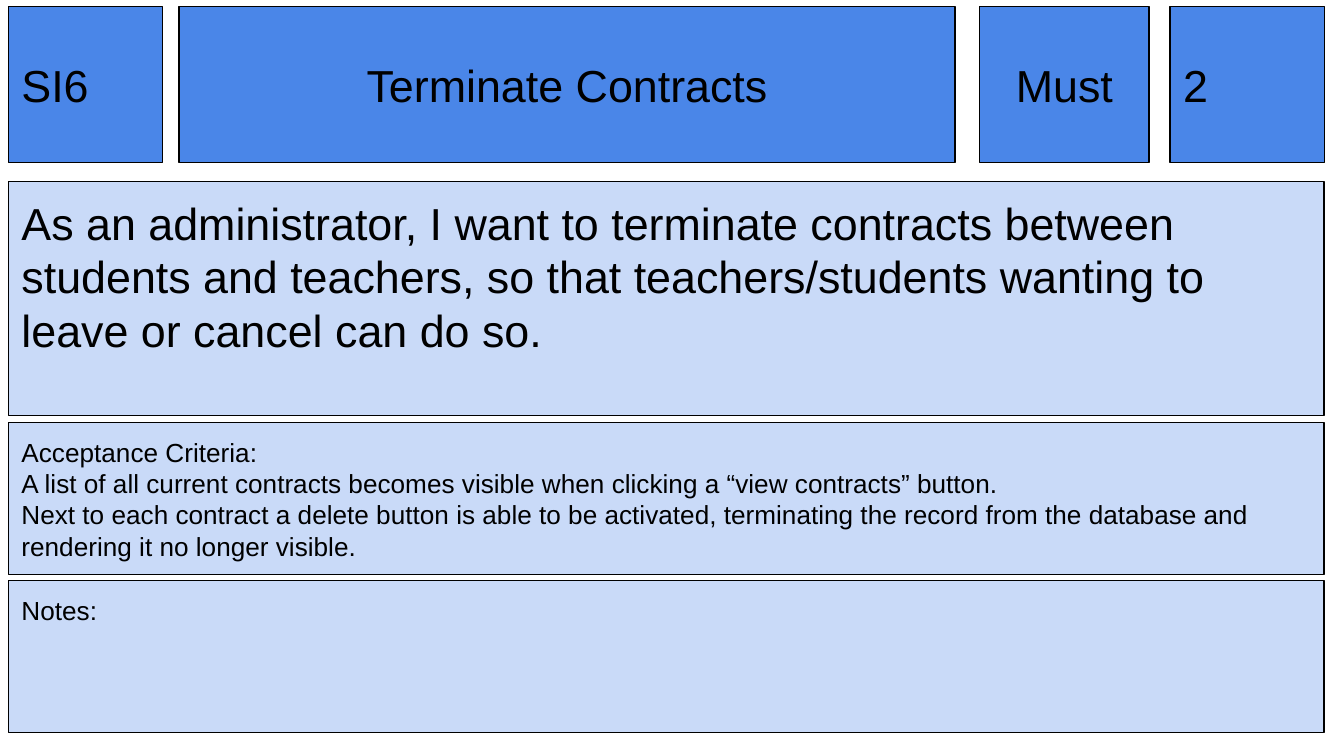
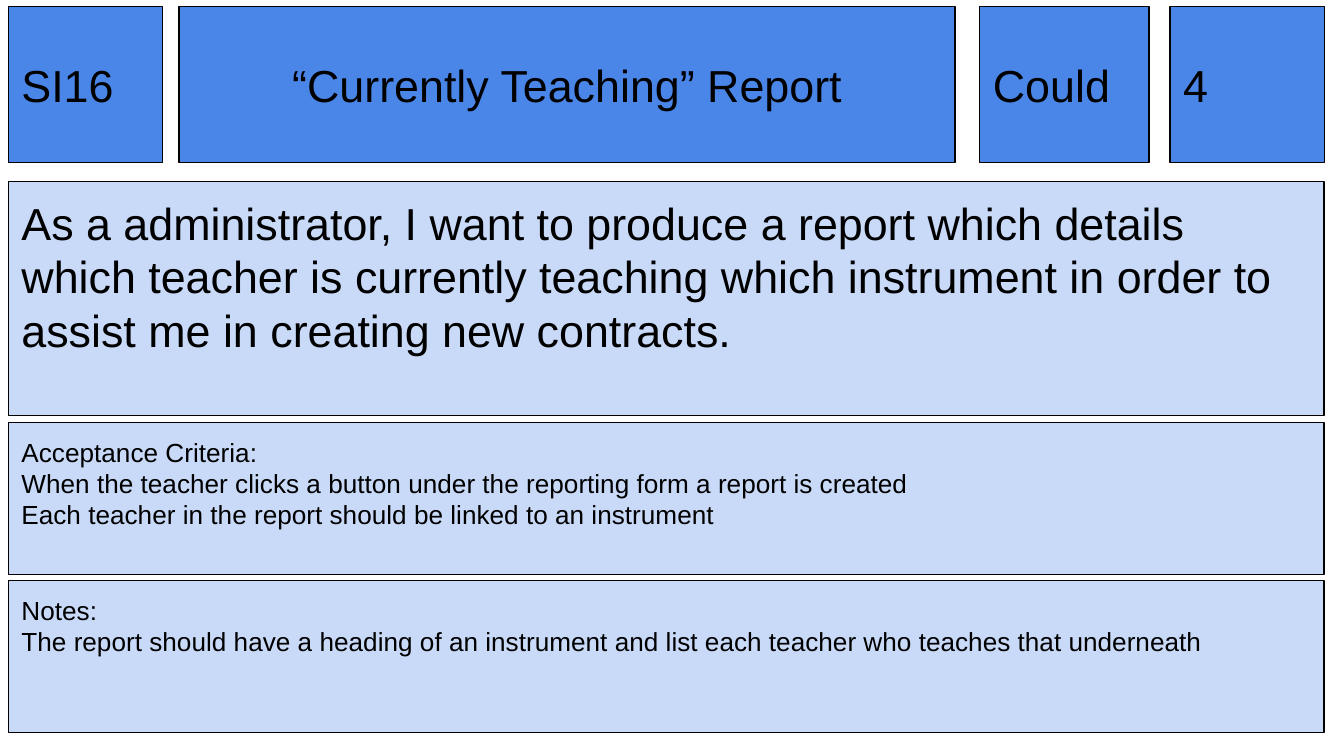
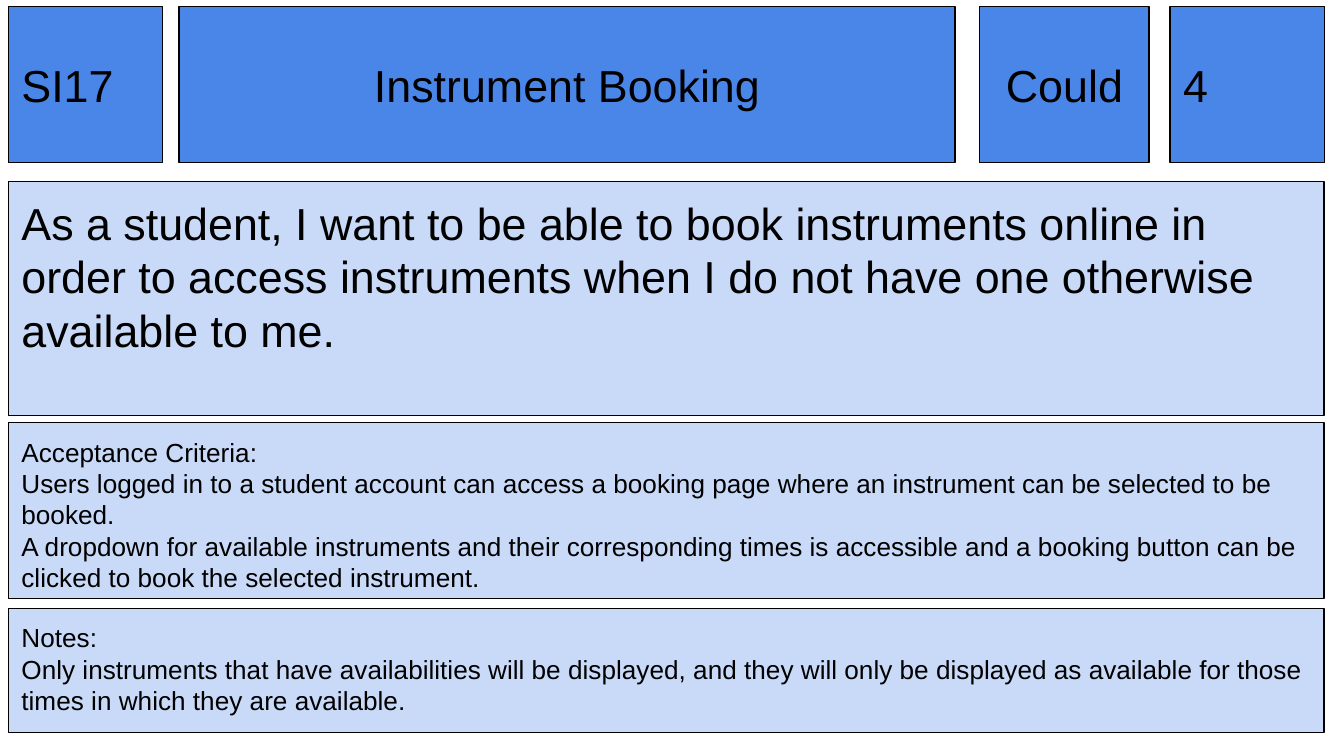
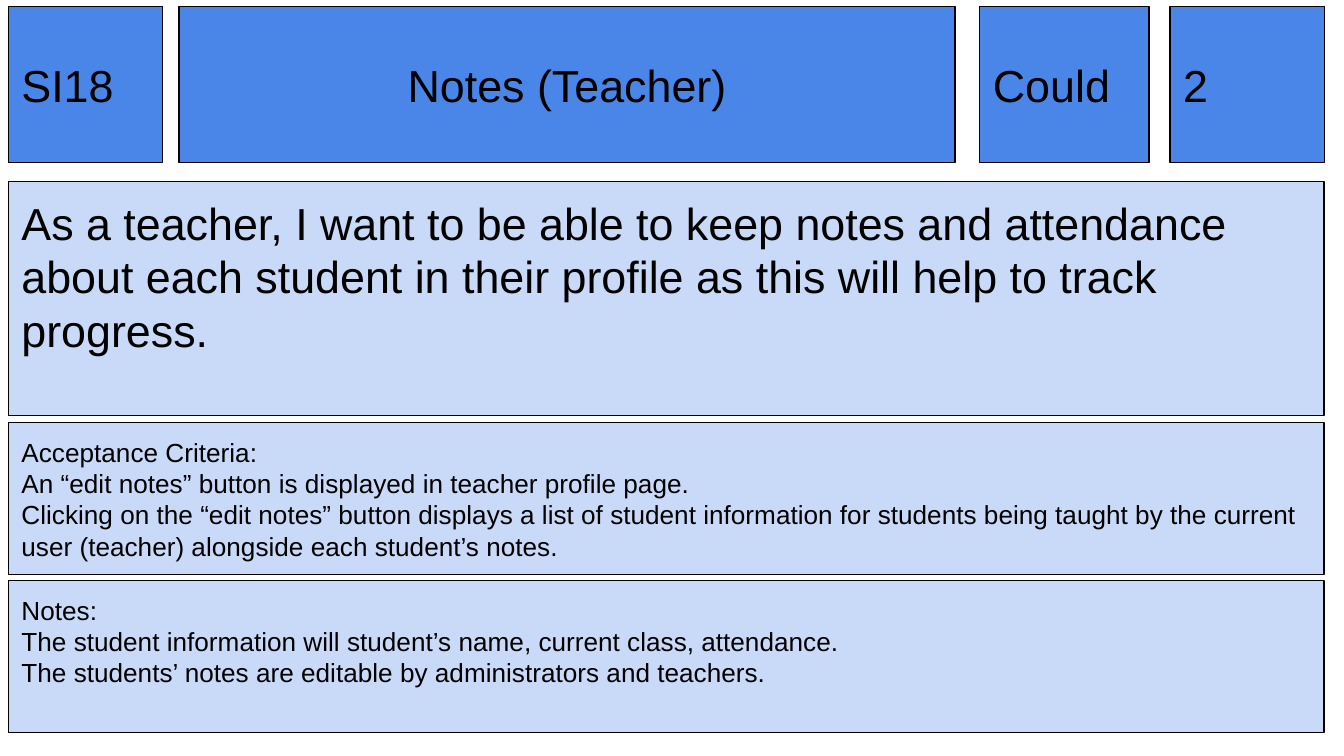
from pptx import Presentation
from pptx.dml.color import RGBColor
from pptx.enum.shapes import MSO_SHAPE
from pptx.enum.text import MSO_ANCHOR, PP_ALIGN
from pptx.util import Pt

HUES = {"head": "4A86E8", "body": "C9DAF8", "ink": "000000"}
LEFT, TOP, WIDTH, BASE = 4.4, 3.6, 704.9, 392.4
GAP = 3.2

CARDS = [
    {
        "code": "SI6", "title": "Terminate Contracts",
        "rank": "Must", "mid": True, "size": "2",
        "story": "As an administrator, I want to terminate contracts between students and teachers, "
                 "so that teachers/students wanting to leave or cancel can do so.",
        "tests": [
            "A list of all current contracts becomes visible when clicking a “view contracts” button.",
            "Next to each contract a delete button is able to be activated, terminating the record "
            "from the database and rendering it no longer visible.",
        ],
        "notes": [],
    },
    {
        "code": "SI16", "title": "“Currently Teaching” Report",
        "rank": "Could", "mid": False, "size": "4",
        "story": "As a administrator, I want to produce a report which details which teacher is "
                 "currently teaching which instrument in order to assist me in creating new contracts.",
        "tests": [
            "When the teacher clicks a button under the reporting form a report is created",
            "Each teacher in the report should be linked to an instrument",
        ],
        "notes": [
            "The report should have a heading of an instrument and list each teacher who teaches "
            "that underneath",
        ],
    },
    {
        "code": "SI17", "title": "Instrument Booking",
        "rank": "Could", "mid": True, "size": "4",
        "story": "As a student, I want to be able to book instruments online in order to access "
                 "instruments when I do not have one otherwise available to me.",
        "tests": [
            "Users logged in to a student account can access a booking page where an instrument "
            "can be selected to be booked.",
            "A dropdown for available instruments and their corresponding times is accessible and "
            "a booking button can be clicked to book the selected instrument.",
        ],
        "notes": [
            "Only instruments that have availabilities will be displayed, and they will only be "
            "displayed as available for those times in which they are available.",
        ],
        "depth": 94.3, "gap": 5.2,
    },
    {
        "code": "SI18", "title": "Notes (Teacher)",
        "rank": "Could", "mid": False, "size": "2",
        "story": "As a teacher, I want to be able to keep notes and attendance about each student "
                 "in their profile as this will help to track progress.",
        "tests": [
            "An “edit notes” button is displayed in teacher profile page.",
            "Clicking on the “edit notes” button displays a list of student information for "
            "students being taught by the current user (teacher) alongside each student’s notes.",
        ],
        "notes": [
            "The student information will student’s name, current class, attendance.",
            "The students’ notes are editable by administrators and teachers.",
        ],
    },
]


class Deck:
    def __init__(self):
        self.show = Presentation()
        self.show.slide_width, self.show.slide_height = Pt(720), Pt(405)
        self.slide = None

    def start(self):
        self.slide = self.show.slides.add_slide(self.show.slide_layouts[6])

    def box(self, x, y, w, h, hue, lines, size, anchor, align):
        box = self.slide.shapes.add_shape(MSO_SHAPE.RECTANGLE, Pt(x), Pt(y), Pt(w), Pt(h))
        box.shadow.inherit = False
        box.fill.solid()
        box.fill.fore_color.rgb = RGBColor.from_string(HUES[hue])
        box.line.color.rgb = RGBColor.from_string(HUES["ink"])
        box.line.width = Pt(0.75)
        frame = box.text_frame
        frame.word_wrap = True
        frame.vertical_anchor = anchor
        frame.margin_left = frame.margin_right = Pt(7.2)
        frame.margin_top = frame.margin_bottom = Pt(7.2)
        frame.text = "\n".join(lines)
        for para in frame.paragraphs:
            para.alignment = align
            for run in para.runs:
                run.font.name = "Arial"
                run.font.size = Pt(size)
                run.font.color.rgb = RGBColor.from_string(HUES["ink"])

    def head(self, x, w, text, mid=False):
        align = PP_ALIGN.CENTER if mid else PP_ALIGN.LEFT
        self.box(x, TOP, w, 83.5, "head", [text], 24, MSO_ANCHOR.MIDDLE, align)

    def panel(self, y, h, lines, size=14):
        self.box(LEFT, y, WIDTH, h, "body", lines, size, MSO_ANCHOR.TOP, PP_ALIGN.LEFT)

    def card(self, card):
        self.start()
        self.head(LEFT, 82.7, card["code"])
        self.head(95.8, 415.8, card["title"], True)
        self.head(524.8, 90.8, card["rank"], card["mid"])
        self.head(626.8, 82.7, card["size"])
        self.panel(97.4, 125.4, [card["story"]], 24)
        tests = 226.4
        depth = card.get("depth", 81.4)
        notes = tests + depth + card.get("gap", GAP)
        self.panel(tests, depth, ["Acceptance Criteria:"] + card["tests"])
        self.panel(notes, BASE - notes, ["Notes:"] + card["notes"])


def main():
    deck = Deck()
    for card in CARDS:
        deck.card(card)
    deck.show.save("out.pptx")


if __name__ == "__main__":
    main()
